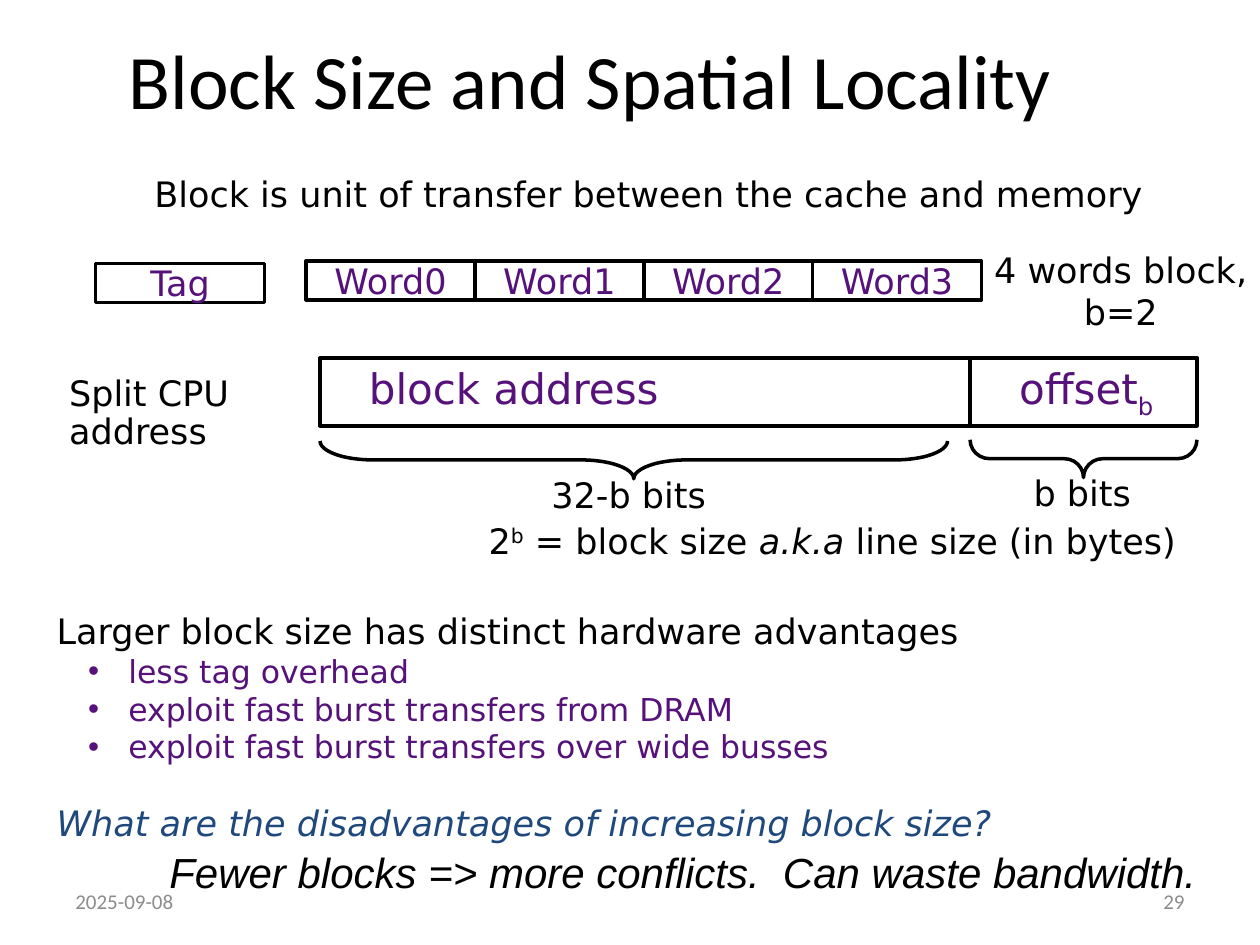
from lxml import etree
from pptx import Presentation
from pptx import util as u
from pptx.dml.color import RGBColor
from pptx.enum import shapes, text
from pptx.oxml.ns import qn

COLORS = {"ink": "000000", "paper": "FFFFFF", "purple": "56127A",
          "blue": "1F497D", "gray": "8C8C8C"}
BODY = "DejaVu Sans"
LEFT, CENTER, RIGHT = text.PP_ALIGN.LEFT, text.PP_ALIGN.CENTER, text.PP_ALIGN.RIGHT


def rgb(name):
    return RGBColor.from_string(COLORS[name])


def style(paragraph, size=20, color="ink", font=BODY, italic=None, align=LEFT):
    paragraph.alignment = align
    paragraph.font.size = u.Pt(size)
    paragraph.font.name = font
    paragraph.font.italic = italic
    paragraph.font.color.rgb = rgb(color)


def add_run(paragraph, words, baseline=0, italic=None):
    run = paragraph.add_run()
    run.text = words
    run.font.italic = italic
    if baseline:
        run._r.get_or_add_rPr().set("baseline", str(baseline * 1000))


def add_label(slide, box, words="", middle=False, wrap=True, **look):
    """Text box; returns its first paragraph."""
    frame = slide.shapes.add_textbox(*map(u.Inches, box)).text_frame
    frame.word_wrap = wrap
    if middle:
        frame.vertical_anchor = text.MSO_ANCHOR.MIDDLE
    paragraph = frame.paragraphs[0]
    if words:
        paragraph.text = words
    style(paragraph, **look)
    return paragraph


def outline(shape):
    shape.shadow.inherit = False
    shape.line.color.rgb = rgb("ink")
    shape.line.width = u.Pt(2)


def add_cell(slide, box, words=""):
    cell = slide.shapes.add_shape(shapes.MSO_SHAPE.RECTANGLE, *map(u.Inches, box))
    cell.fill.solid()
    cell.fill.fore_color.rgb = rgb("paper")
    outline(cell)
    if words:
        frame = cell.text_frame
        frame.text = words
        frame.word_wrap = False
        frame.vertical_anchor = text.MSO_ANCHOR.MIDDLE
        style(frame.paragraphs[0], color="purple", align=CENTER)


def add_brace(slide, left, top, width, height, curl):
    """Brace below a field: a left brace turned a quarter, filling the box."""
    brace = slide.shapes.add_shape(
        shapes.MSO_SHAPE.LEFT_BRACE,
        u.Inches(left + (width - height) / 2), u.Inches(top + (height - width) / 2),
        u.Inches(height), u.Inches(width))
    brace.rotation = 270
    brace.adjustments[0] = curl
    brace.fill.background()
    outline(brace)


def cache_line(slide, left, top):
    """Tag and the four words of a block."""
    width, height = 1.34, 0.31
    add_cell(slide, (left, top + 0.02, width, height), "Tag")
    for i in range(4):
        add_cell(slide, (left + 1.67 + i * width, top, width, height), f"Word{i}")
    add_label(slide, (left + 7.03, top - 0.15, 2.21, 0.78), "4 words block, b=2",
              align=CENTER)


def cpu_address(slide, left, top, width, height):
    """Address split into block address and offset, with field widths."""
    split = left + 5.16
    add_label(slide, (0.45, top + 0.1, 2.39, 0.71), "Split CPU address").line_spacing = 0.9
    add_cell(slide, (left, top, width, height))
    divider = slide.shapes.add_connector(
        shapes.MSO_CONNECTOR.STRAIGHT, u.Inches(split), u.Inches(top),
        u.Inches(split), u.Inches(top + height))
    divider.line.color.rgb = rgb("ink")
    divider.line.width = u.Pt(2)
    etree.SubElement(divider._element.spPr, qn("a:effectLst"))

    # Field names, parted by a tab stop
    fields = add_label(slide, (left + 0.29, top - 0.01, 6.58, 0.5))
    tabs = etree.SubElement(fields._p.get_or_add_pPr(), qn("a:tabLst"))
    etree.SubElement(tabs, qn("a:tab"), pos=str(u.Inches(5.16)), algn="l")
    defaults = fields._p.pPr.find(qn("a:defRPr"))
    if defaults is not None:
        tabs.addnext(defaults)
    style(fields, size=24, color="purple")
    add_run(fields, "block address\toffset")
    add_run(fields, "b", baseline=-25)

    # Braces and bit counts
    add_brace(slide, left, top + 0.66, 4.98, 0.3, 1.4)
    add_brace(slide, split, top + 0.65, left + width - split, 0.3, 0.51)
    add_label(slide, (left + 1.72, top + 0.87, 1.46, 0.44), "32-b bits",
              wrap=False, align=CENTER)
    add_label(slide, (left + 5.56, top + 0.85, 0.98, 0.44), "b bits",
              wrap=False, align=CENTER)
    size = add_label(slide, (left + 1.24, top + 1.27, 5.74, 0.4), wrap=False)
    size.line_spacing = 0.9
    add_run(size, "2")
    add_run(size, "b", baseline=30)
    add_run(size, " = block size ")
    add_run(size, "a.k.a", italic=True)
    add_run(size, " line size (in bytes)")


def advantages(slide, box):
    """Advantages of larger blocks, then the question."""
    heading = add_label(slide, box, "Larger block size has distinct hardware advantages")
    frame = heading._parent
    for words in ("less tag overhead", "exploit fast burst transfers from DRAM",
                  "exploit fast burst transfers over wide busses"):
        item = frame.add_paragraph()
        item.text = words
        item.level = 1
        props = item._p.get_or_add_pPr()
        props.set("marL", str(u.Inches(0.57)))
        props.set("indent", str(u.Inches(-0.32)))
        etree.SubElement(props, qn("a:buFont"), typeface="Arial")
        etree.SubElement(props, qn("a:buChar"), char="•")
        style(item, size=18, color="purple")
    question = frame.add_paragraph()
    question.text = "What are the disadvantages of increasing block size?"
    question.space_before = u.Pt(21)
    style(question, color="blue", italic=True)


def footer(slide, top):
    for left, words, align in ((0.5, "2025-09-08", LEFT), (7.17, "29", RIGHT)):
        add_label(slide, (left, top, 2.33, 0.4), words, middle=True, size=12,
                  color="gray", font="Calibri", align=align)


def main():
    deck = Presentation()
    deck.slide_width, deck.slide_height = u.Inches(10), u.Inches(7.5)
    slide = deck.slides.add_slide(deck.slide_layouts[6])

    footer(slide, 6.95)
    add_label(slide, (0.31, 0, 8.75, 1.25), "Block Size and Spatial Locality",
              middle=True, size=44, font="Calibri", align=CENTER)
    add_label(slide, (0.46, 1.32, 9.38, 0.44),
              "Block is unit of transfer between the cache and memory", align=CENTER)
    cache_line(slide, 0.76, 2.07)
    cpu_address(slide, 2.54, 2.84, 6.96, 0.54)
    advantages(slide, (0.35, 4.79, 9.32, 1.99))
    add_label(slide, (1.24, 6.67, 8.36, 0.5),
              "Fewer blocks => more conflicts.  Can waste bandwidth.", middle=True,
              wrap=False, size=24, font="Arial", italic=True, align=CENTER)
    deck.save("out.pptx")


if __name__ == "__main__":
    main()
